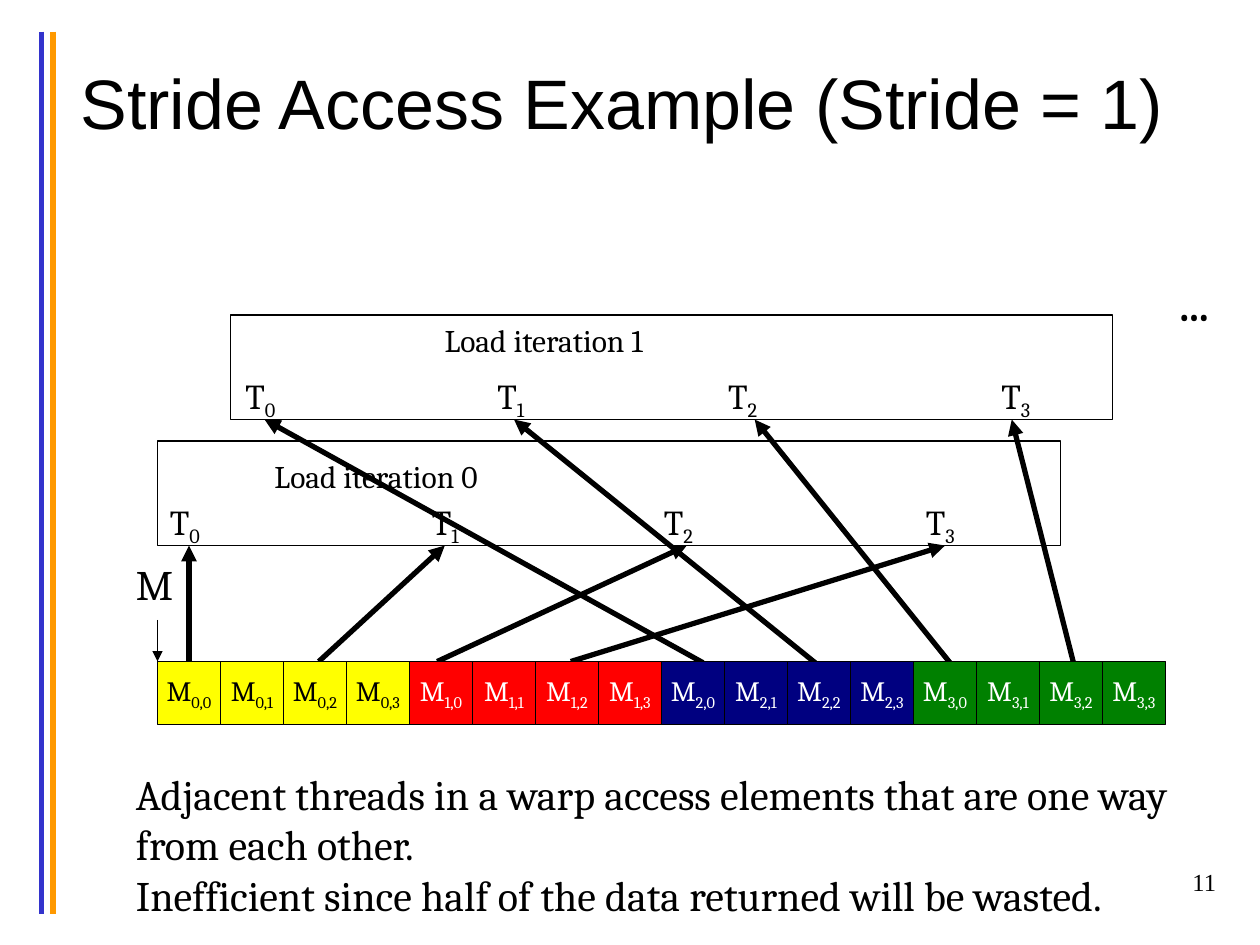
from lxml.etree import SubElement
from pptx import Presentation
from pptx.dml.color import RGBColor
from pptx.enum.shapes import MSO_CONNECTOR, MSO_SHAPE
from pptx.enum.text import MSO_ANCHOR, MSO_AUTO_SIZE, PP_ALIGN
from pptx.oxml.ns import qn
from pptx.util import Inches, Pt

BLACK, WHITE = "000000", "FFFFFF"
CELL = 0.5
ROW_COLOURS = [("FFFF00", BLACK), ("FF0000", WHITE), ("000080", WHITE), ("008000", WHITE)]


def colour(value):
    """Turn a hex string into a colour."""
    return RGBColor.from_string(value)


def format_run(run, size, font="Cambria", text_colour=BLACK, bold=False):
    """Set the font of one run."""
    run.font.name = font
    run.font.size = Pt(size)
    run.font.bold = bold
    run.font.color.rgb = colour(text_colour)


def add_subscript(paragraph, text, size, text_colour=BLACK):
    """Append a subscript to a paragraph."""
    run = paragraph.add_run()
    run.text = text
    format_run(run, size, text_colour=text_colour)
    run.font._element.set("baseline", "-25000")


def add_line(slide, start, end, width, line_colour=BLACK, arrow=False):
    """Draw a straight line, with an arrowhead at its end if asked."""
    line = slide.shapes.add_connector(
        MSO_CONNECTOR.STRAIGHT, *[Inches(value) for value in (*start, *end)])
    line.line.color.rgb = colour(line_colour)
    line.line.width = Pt(width)
    if arrow:
        SubElement(line.line._get_or_add_ln(), qn("a:tailEnd"), type="triangle")
    SubElement(line._element.spPr, qn("a:effectLst"))


def add_text(slide, box, lines, size, font="Cambria", bold=False, wrap=False,
             align=PP_ALIGN.LEFT, subscript=""):
    """Add a text box with one paragraph for each line."""
    shape = slide.shapes.add_textbox(*[Inches(value) for value in box])
    text_frame = shape.text_frame
    text_frame.text = "\n".join(lines)
    text_frame.word_wrap = wrap
    text_frame.auto_size = MSO_AUTO_SIZE.SHAPE_TO_FIT_TEXT
    for paragraph in text_frame.paragraphs:
        paragraph.alignment = align
        format_run(paragraph.runs[0], size, font, bold=bold)
    if subscript:
        add_subscript(text_frame.paragraphs[0], subscript, size)


def add_rectangle(slide, box, fill=None):
    """Add an outlined rectangle, filled if a colour is given."""
    shape = slide.shapes.add_shape(
        MSO_SHAPE.RECTANGLE, *[Inches(value) for value in box])
    shape.shadow.inherit = False
    shape.line.color.rgb = colour(BLACK)
    shape.line.width = Pt(0.75)
    if fill:
        shape.fill.solid()
        shape.fill.fore_color.rgb = colour(fill)
    else:
        shape.fill.background()
    return shape


def add_side_rules(slide, left, top, height):
    """Draw the two coloured rules beside the slide."""
    for offset, rule_colour in ((0, "3333CC"), (0.09, "FF9900")):
        add_line(slide, (left + offset, top), (left + offset, top + height), 3, rule_colour)


def add_title(slide, box, text):
    """Fill and place the title placeholder."""
    title = slide.shapes.title
    title.left, title.top, title.width, title.height = [Inches(value) for value in box]
    text_frame = title.text_frame
    text_frame.text = text
    text_frame.auto_size = MSO_AUTO_SIZE.NONE
    text_frame.vertical_anchor = MSO_ANCHOR.MIDDLE
    text_frame.paragraphs[0].alignment = PP_ALIGN.CENTER
    format_run(text_frame.paragraphs[0].runs[0], 40, "Arial")


def add_iteration(slide, box, number, label_offset, thread_offsets):
    """Draw the frame, label and threads of one load iteration."""
    left, top, width, height = box
    add_rectangle(slide, box)
    label_left, label_top = label_offset
    add_text(slide, (left + label_left, top + label_top, 1.81, 0.4),
             [f"Load iteration {number}"], 18)
    for thread, offset in enumerate(thread_offsets):
        add_text(slide, (left + offset, top + 0.42, 0.47, 0.44), ["T"], 20,
                 subscript=str(thread))


def add_memory(slide, left, top):
    """Draw the matrix as one row of memory cells, with its pointer."""
    add_text(slide, (left - 0.27, top - 0.87, 0.52, 0.5), ["M"], 24)
    add_line(slide, (left, top - 0.33), (left, top), 0.75, arrow=True)
    for row, (fill, text_colour) in enumerate(ROW_COLOURS):
        for column in range(4):
            cell_left = left + (row * 4 + column) * CELL
            cell = add_rectangle(slide, (cell_left, top, CELL, CELL), fill)
            text_frame = cell.text_frame
            text_frame.text = "M"
            text_frame.word_wrap = False
            text_frame.vertical_anchor = MSO_ANCHOR.MIDDLE
            paragraph = text_frame.paragraphs[0]
            paragraph.alignment = PP_ALIGN.CENTER
            format_run(paragraph.runs[0], 16, text_colour=text_colour)
            add_subscript(paragraph, f"{row},{column}", 16, text_colour)


def add_loads(slide, memory_top, thread_bottom, loads):
    """Draw arrows from memory cells up to the threads that load them."""
    for source, target in loads:
        add_line(slide, (source, memory_top), (target, thread_bottom), 3, arrow=True)


def main():
    """Build the slide and save it."""
    presentation = Presentation()
    presentation.slide_width, presentation.slide_height = Inches(10), Inches(7.5)
    slide = presentation.slides.add_slide(presentation.slide_layouts[5])

    add_side_rules(slide, 0.33, 0.25, 7)
    add_title(slide, (0.31, 0.18, 9.25, 1.25), "Stride Access Example (Stride = 1)")
    add_text(slide, (7.67, 6.83, 2.08, 0.5), ["11"], 14, "Times New Roman",
             wrap=True, align=PP_ALIGN.RIGHT)
    add_loads(slide, 5.25, 4.33, [(1.5, 1.5), (2.53, 3.53), (3.47, 5.45), (4.53, 7.5)])
    add_loads(slide, 5.26, 3.33, [(5.58, 2.1), (6.47, 4.08), (7.54, 5.99), (8.52, 8.03)])
    add_iteration(slide, (1.25, 3.5, 7.17, 0.83), 0, (0.83, 0.08), (0, 2.08, 3.92, 6))
    add_iteration(slide, (1.83, 2.5, 7, 0.83), 1, (1.6, 0), (0.02, 2.02, 3.85, 6.02))
    add_text(slide, (9.25, 2.17, 0.53, 0.5), ["…"], 24, bold=True)
    add_memory(slide, 1.25, 5.25)
    add_text(slide, (0.98, 6.05, 8.68, 1.32), [
        "Adjacent threads in a warp access elements that are one way from each other.",
        "Inefficient since half of the data returned will be wasted.",
    ], 24, wrap=True)
    presentation.save("out.pptx")


if __name__ == "__main__":
    main()
